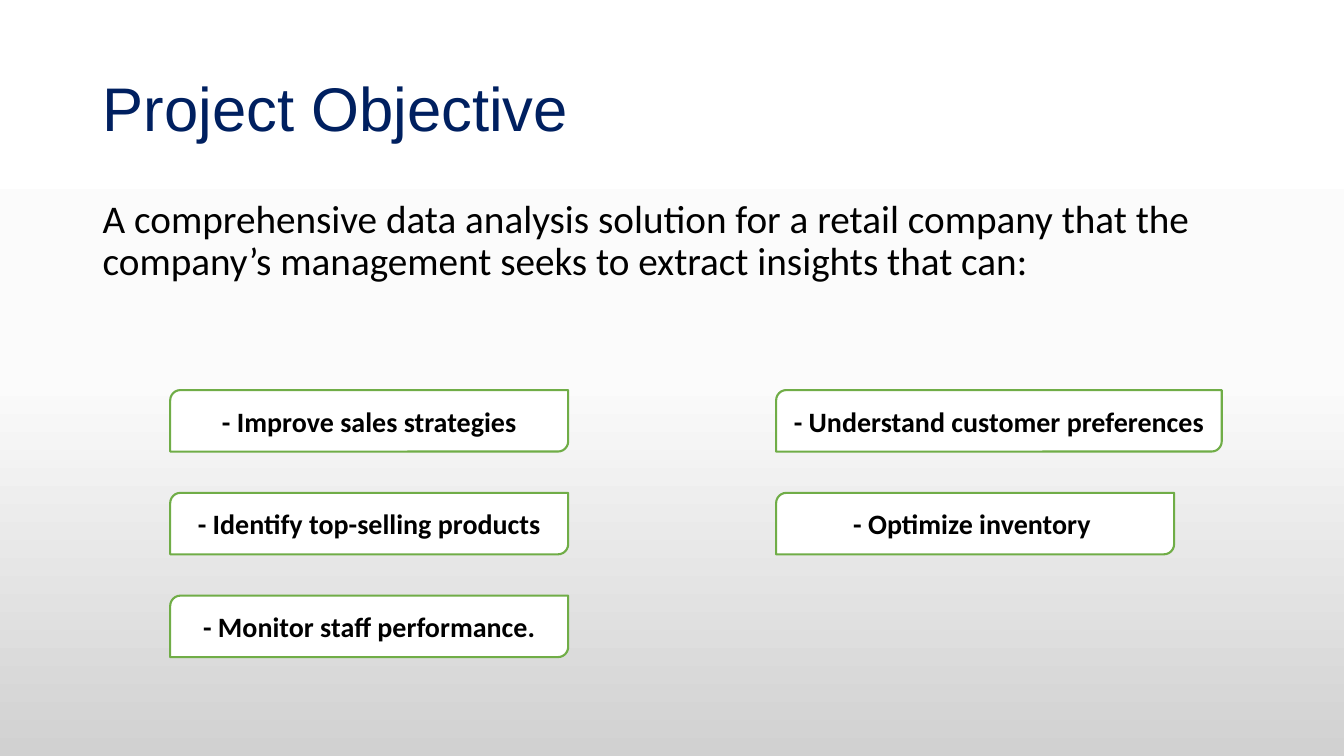
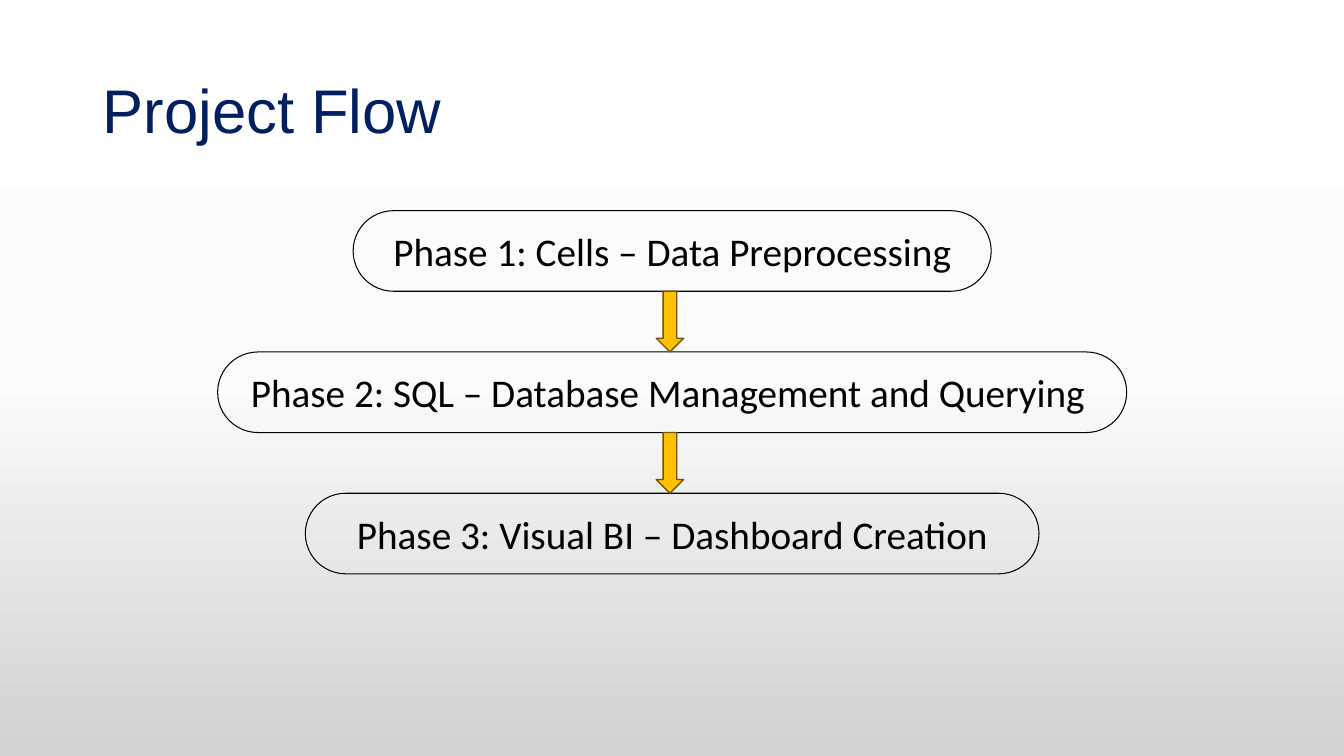
from copy import deepcopy

from lxml.etree import SubElement
from pptx import Presentation
from pptx.dml.color import RGBColor
from pptx.enum.shapes import MSO_SHAPE
from pptx.enum.text import MSO_ANCHOR, MSO_AUTO_SIZE, PP_ALIGN
from pptx.oxml.ns import qn
from pptx.util import Cm, Pt

BLACK = RGBColor(0x00, 0x00, 0x00)
WHITE = RGBColor(0xFF, 0xFF, 0xFF)
NAVY = RGBColor(0x00, 0x20, 0x60)
GREEN = RGBColor(0x70, 0xAD, 0x47)
LIME = RGBColor(0x92, 0xD0, 0x50)
AMBER = RGBColor(0xFF, 0xC0, 0x00)
BROWN = RGBColor(0x70, 0x54, 0x00)
BACKDROP = [
    (0, WHITE),
    (0.5, RGBColor(0xFB, 0xFB, 0xFB)),
    (1, RGBColor(0xD1, 0xD1, 0xD1)),
]

OBJECTIVE_COLUMNS = [
    ["- Improve sales strategies", "- Identify top-selling products", "- Monitor staff performance."],
    ["- Understand customer preferences", "- Optimize inventory "],
]
WIDE_OBJECTIVES = {"- Understand customer preferences": 11.23}
PHASES = [
    ("Phase 1: Cells – Data Preprocessing", 16.08),
    ("Phase 2: SQL – Database Management and Querying ", 22.91),
    ("Phase 3: Visual BI – Dashboard Creation", 18.49),
]


def paint_backdrop(master):
    """Give the slide master a vertical gradient shared by all slides."""
    fill = master.background.fill
    fill.gradient()
    fill.gradient_angle = 270
    stop_list = master.element.find(".//" + qn("a:gsLst"))
    stop_list.append(deepcopy(stop_list[-1]))
    for stop, (position, color) in zip(fill.gradient_stops, BACKDROP):
        stop.position = position
        stop.color.rgb = color


def write(box, text, size, color=BLACK, font="Calibri", bold=False,
          align=PP_ALIGN.LEFT, anchor=MSO_ANCHOR.TOP):
    """Set and format one paragraph, returning it."""
    frame = box.text_frame
    frame.text = text
    frame.word_wrap = True
    frame.vertical_anchor = anchor
    para = frame.paragraphs[0]
    para.alignment = align
    span = para.runs[0]
    span.font.name = font
    span.font.size = Pt(size)
    span.font.bold = bold
    span.font.color.rgb = color
    return para


def add_text(page, left, top, width, height, text, size, **style):
    """Add a tightly spaced text box."""
    box = page.shapes.add_textbox(Cm(left), Cm(top), Cm(width), Cm(height))
    para = write(box, text, size, **style)
    para.line_spacing = 0.9
    return para


def add_title(page, text, top, height):
    """Add the navy slide title."""
    add_text(page, 2.34, top, 29.21, height, text, 44,
             color=NAVY, font="Arial", anchor=MSO_ANCHOR.MIDDLE)


def add_figure(page, kind, left, top, width, height, fill, line, weight):
    """Add a preset shape without shadow; a fill of None leaves it clear."""
    shape = page.shapes.add_shape(kind, Cm(left), Cm(top), Cm(width), Cm(height))
    shape.shadow.inherit = False
    if fill is None:
        shape.fill.background()
    else:
        shape.fill.solid()
        shape.fill.fore_color.rgb = fill
    shape.line.color.rgb = line
    shape.line.width = Pt(weight)
    return shape


def outline_text(para, color, weight):
    """Draw a thin coloured outline around the letters."""
    for span in para.runs:
        properties = span.font._element
        line = SubElement(properties, qn("a:ln"), w=str(Pt(weight)))
        solid = SubElement(line, qn("a:solidFill"))
        SubElement(solid, qn("a:srgbClr"), val=str(color))
        properties.insert(0, line)


def add_objectives(page, left, top):
    """Place the objective cards in two columns."""
    column_pitch, row_pitch, card_width, card_height = 15.27, 2.59, 10.03, 1.55
    for column, objectives in enumerate(OBJECTIVE_COLUMNS):
        for row, text in enumerate(objectives):
            card = add_figure(page, MSO_SHAPE.ROUND_2_DIAG_RECTANGLE,
                              left + column * column_pitch, top + row * row_pitch,
                              WIDE_OBJECTIVES.get(text, card_width), card_height,
                              WHITE, GREEN, 1.5)
            write(card, text, 20, bold=True, align=PP_ALIGN.CENTER,
                  anchor=MSO_ANCHOR.MIDDLE)


def add_phases(page, center, top):
    """Stack the phase pills with an arrow in each gap."""
    pill_height, gap, arrow_width = 2.03, 1.53, 0.69
    arrow_left = center - 0.4
    for index, (text, width) in enumerate(PHASES):
        pill_top = top + index * (pill_height + gap)
        pill = add_figure(page, MSO_SHAPE.ROUNDED_RECTANGLE, center - width / 2,
                          pill_top, width, pill_height, None, BLACK, 0.75)
        pill.adjustments[0] = 0.5
        para = write(pill, text, 28, align=PP_ALIGN.CENTER)
        pill.text_frame.auto_size = MSO_AUTO_SIZE.SHAPE_TO_FIT_TEXT
        outline_text(para, LIME, 0.75)
        if index:
            add_figure(page, MSO_SHAPE.DOWN_ARROW, arrow_left, pill_top - gap,
                       arrow_width, gap, AMBER, BROWN, 1)


def build_objective(page):
    """Build the project objective slide."""
    add_title(page, "Project Objective", 1.5, 2.62)
    intro = add_text(page, 2.34, 4.9, 30.05, 2.62,
                     "A comprehensive data analysis solution for a retail company that the "
                     "company’s management seeks to extract insights that can:", 28)
    intro.space_before = Pt(10)
    add_objectives(page, 4.29, 9.83)


def build_flow(page):
    """Build the project flow slide."""
    add_title(page, "Project Flow", 1.02, 3.68)
    add_phases(page, 16.94, 5.31)


def main():
    """Create and save the deck."""
    deck = Presentation()
    deck.slide_width = Cm(33.87)
    deck.slide_height = Cm(19.05)
    paint_backdrop(deck.slide_master)
    for build in (build_objective, build_flow):
        build(deck.slides.add_slide(deck.slide_layouts[6]))
    deck.save("out.pptx")


if __name__ == "__main__":
    main()
